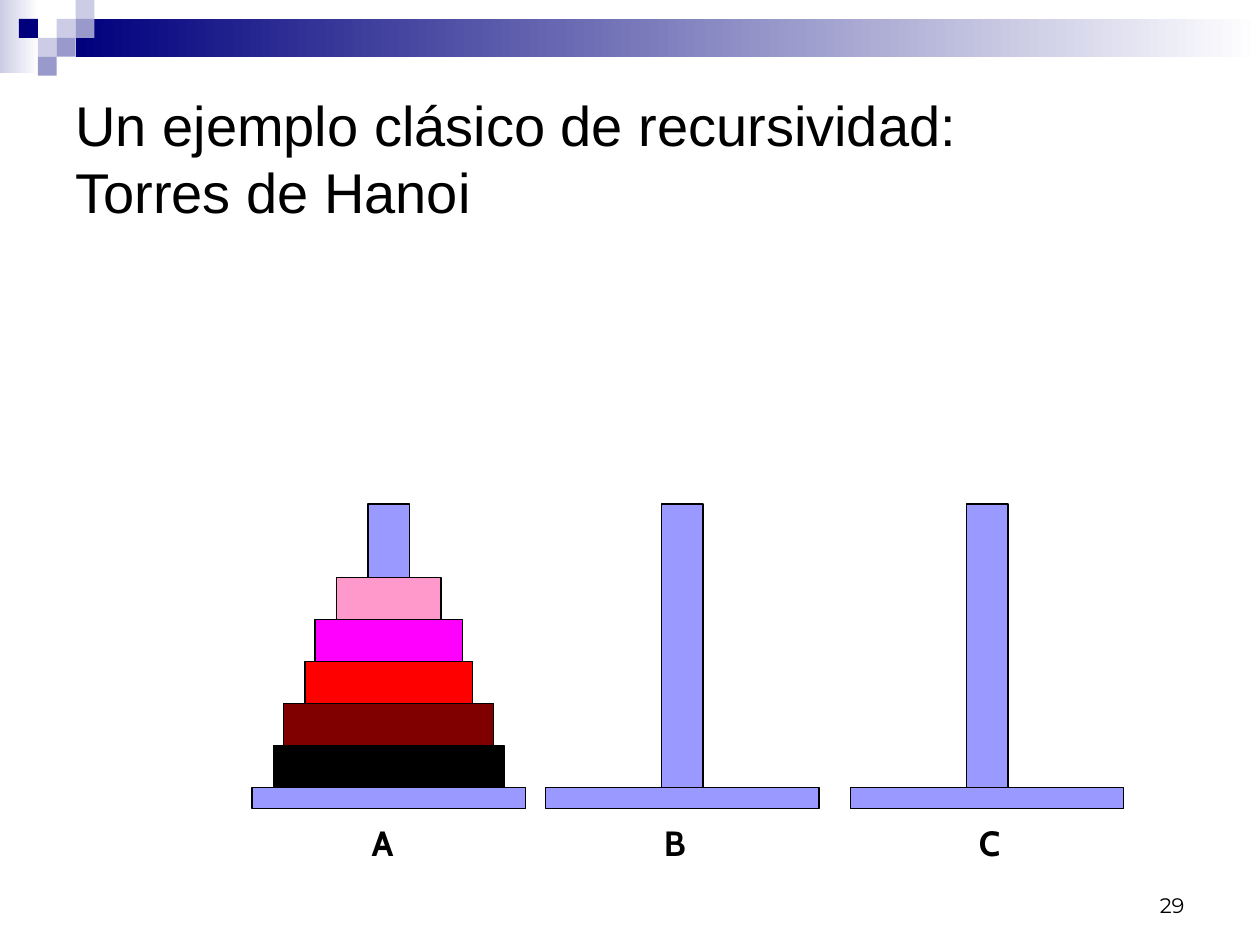
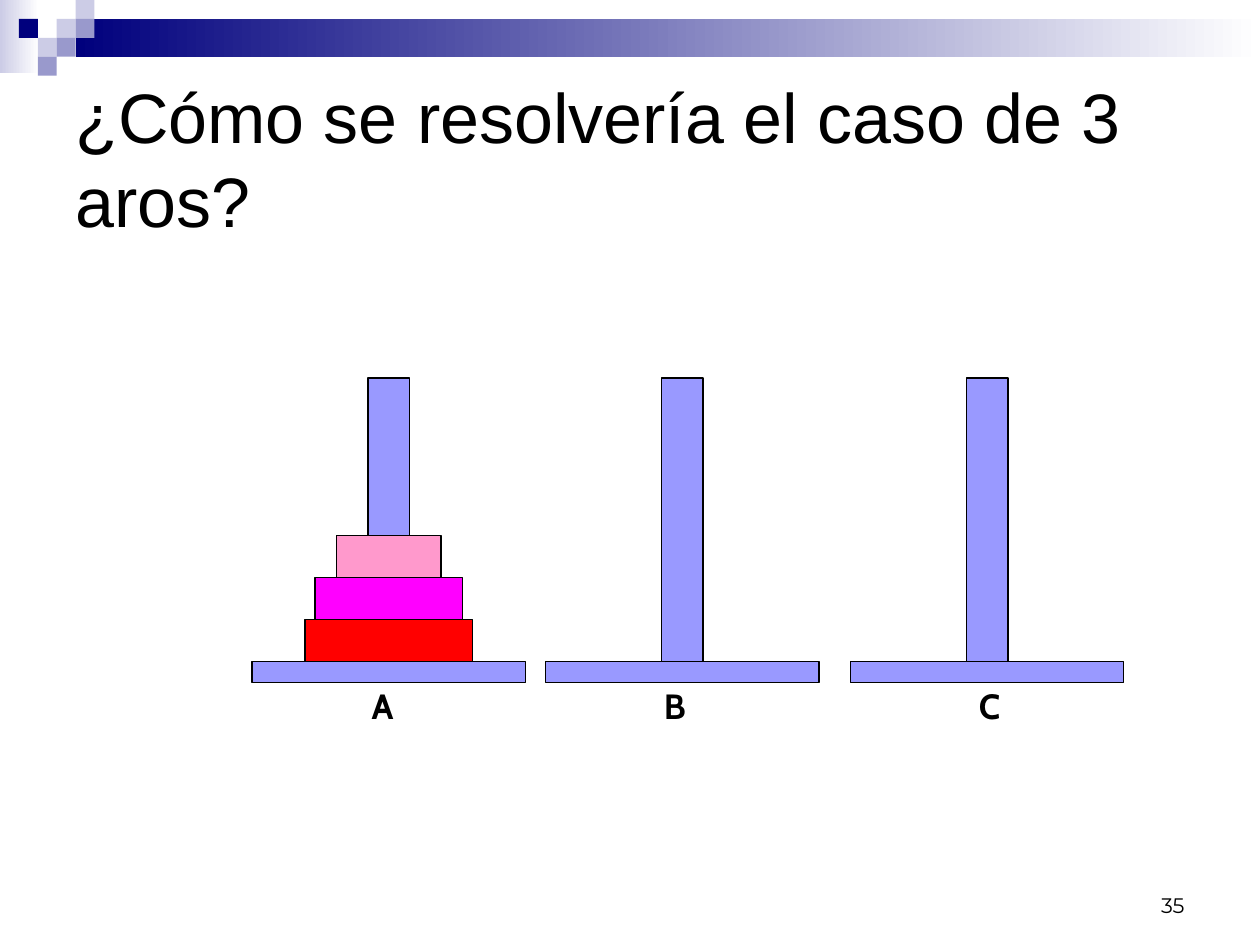
from dataclasses import dataclass

from pptx import Presentation
from pptx.dml.color import RGBColor
from pptx.enum.shapes import MSO_SHAPE as Shape
from pptx.enum.text import MSO_ANCHOR as Anchor
from pptx.enum.text import MSO_AUTO_SIZE as AutoSize
from pptx.enum.text import PP_ALIGN as Align
from pptx.slide import Slide
from pptx.util import Inches, Pt


@dataclass(frozen=True)
class Theme:
    white: str = "FFFFFF"
    black: str = "000000"
    navy: str = "00007D"
    lavender: str = "CCCCE6"
    violet: str = "9999CC"
    wood: str = "9999FF"
    title_font: str = "Arial"
    label_font: str = "Cabin"
    number_font: str = "Montserrat"
    label_size: int = 20
    number_size: int = 12
    outline: float = 0.75


@dataclass(frozen=True)
class Square:
    column: int
    row: int
    color: str


@dataclass(frozen=True)
class Tower:
    label: str
    left: float
    label_left: float


@dataclass(frozen=True)
class Disk:
    width: float
    color: str


@dataclass(frozen=True)
class HanoiPage:
    title: str
    title_size: int
    number: str
    base_top: float
    label_gap: float
    disk_count: int


THEME = Theme()

SQUARE_SIDE = 0.15
SQUARES = (
    Square(3, 1, THEME.lavender),
    Square(4, 0, THEME.lavender),
    Square(4, 1, THEME.violet),
    Square(2, 2, THEME.lavender),
    Square(1, 1, THEME.navy),
    Square(3, 2, THEME.violet),
    Square(2, 3, THEME.violet),
)

BASE_WIDTH, BASE_HEIGHT = 2.17, 0.17
PEG_WIDTH, PEG_HEIGHT = 0.33, 2.25
DISK_HEIGHT = 1 / 3
TOWERS = (
    Tower("A", 2, 2.85),
    Tower("B", 4.33, 5.17),
    Tower("C", 6.75, 7.67),
)
DISKS = (
    Disk(0.83, "FF99CC"),
    Disk(1.17, "FF00FF"),
    Disk(1.33, "FF0000"),
    Disk(1.67, "800000"),
    Disk(1.83, THEME.black),
)

PAGES = (
    HanoiPage("Un ejemplo clásico de recursividad:\nTorres de Hanoi", 32, "29", 6.25, 0.22, 5),
    HanoiPage("¿Cómo se resolvería el caso de 3 aros?", 40, "35", 5.25, 0.13, 3),
)


def add_block(page: Slide, left: float, top: float, width: float, height: float,
              *colors: str, outlined: bool = False) -> None:
    block = page.shapes.add_shape(
        Shape.RECTANGLE, Inches(left), Inches(top), Inches(width), Inches(height))
    block.shadow.inherit = False
    if len(colors) == 1:
        block.fill.solid()
        block.fill.fore_color.rgb = RGBColor.from_string(colors[0])
    else:
        block.fill.gradient()
        block.fill.gradient_angle = 0
        for stop, color in zip(block.fill.gradient_stops, colors):
            stop.color.rgb = RGBColor.from_string(color)
    if outlined:
        block.line.color.rgb = RGBColor.from_string(THEME.black)
        block.line.width = Pt(THEME.outline)
    else:
        block.line.fill.background()


def add_text(page: Slide, text: str, left: float, top: float, width: float, height: float, *,
             font: str, size: int, bold: bool = False, wrap: bool = True,
             align: Align = Align.LEFT, anchor: Anchor = Anchor.TOP) -> None:
    box = page.shapes.add_textbox(Inches(left), Inches(top), Inches(width), Inches(height))
    frame = box.text_frame
    frame.word_wrap = wrap
    frame.auto_size = AutoSize.NONE if wrap else AutoSize.SHAPE_TO_FIT_TEXT
    frame.vertical_anchor = anchor
    para = frame.paragraphs[0]
    para.text = text.replace("\n", "\v")
    para.alignment = align
    for span in para.runs:
        span.font.name = font
        span.font.size = Pt(size)
        span.font.bold = bold
        span.font.color.rgb = RGBColor.from_string(THEME.black)


def add_header(page: Slide) -> None:
    add_block(page, 0, 0, 0.31, 0.58, THEME.lavender, THEME.white)
    add_block(page, 0.6, 0.15, 9.4, 0.3, THEME.navy, THEME.white)
    for square in SQUARES:
        add_block(page, square.column * SQUARE_SIDE, square.row * SQUARE_SIDE,
                  SQUARE_SIDE, SQUARE_SIDE, square.color)


def add_tower(page: Slide, tower: Tower, base_top: float, label_gap: float) -> None:
    add_block(page, tower.left, base_top, BASE_WIDTH, BASE_HEIGHT, THEME.wood, outlined=True)
    add_block(page, tower.left + (BASE_WIDTH - PEG_WIDTH) / 2, base_top - PEG_HEIGHT,
              PEG_WIDTH, PEG_HEIGHT, THEME.wood, outlined=True)
    add_text(page, tower.label, tower.label_left, base_top + label_gap, 0.38, 0.44,
             font=THEME.label_font, size=THEME.label_size, bold=True, wrap=False)


def add_disks(page: Slide, tower: Tower, base_top: float, count: int) -> None:
    for level, disk in enumerate(reversed(DISKS[:count]), start=1):
        add_block(page, tower.left + (BASE_WIDTH - disk.width) / 2,
                  base_top - level * DISK_HEIGHT, disk.width, DISK_HEIGHT,
                  disk.color, outlined=True)


def main() -> None:
    deck = Presentation()
    deck.slide_width, deck.slide_height = Inches(10), Inches(7.5)
    for content in PAGES:
        page = deck.slides.add_slide(deck.slide_layouts[6])
        add_header(page)
        add_text(page, content.title, 0.5, 0.5, 9, 1.5,
                 font=THEME.title_font, size=content.title_size, anchor=Anchor.MIDDLE)
        for tower in TOWERS:
            add_tower(page, tower, content.base_top, content.label_gap)
        add_disks(page, TOWERS[0], content.base_top, content.disk_count)
        add_text(page, content.number, 7.17, 6.83, 2.33, 0.5, font=THEME.number_font,
                 size=THEME.number_size, align=Align.RIGHT, anchor=Anchor.BOTTOM)
    deck.save("out.pptx")


if __name__ == "__main__":
    main()
